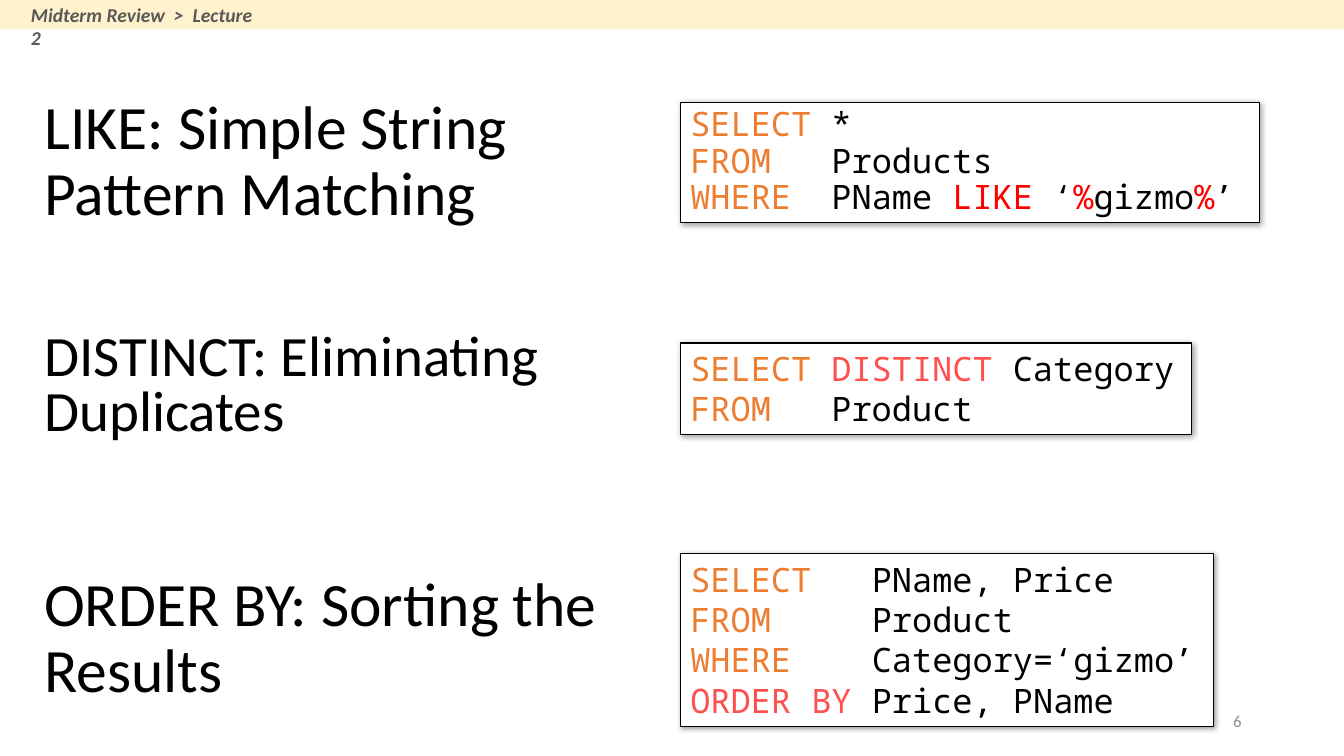
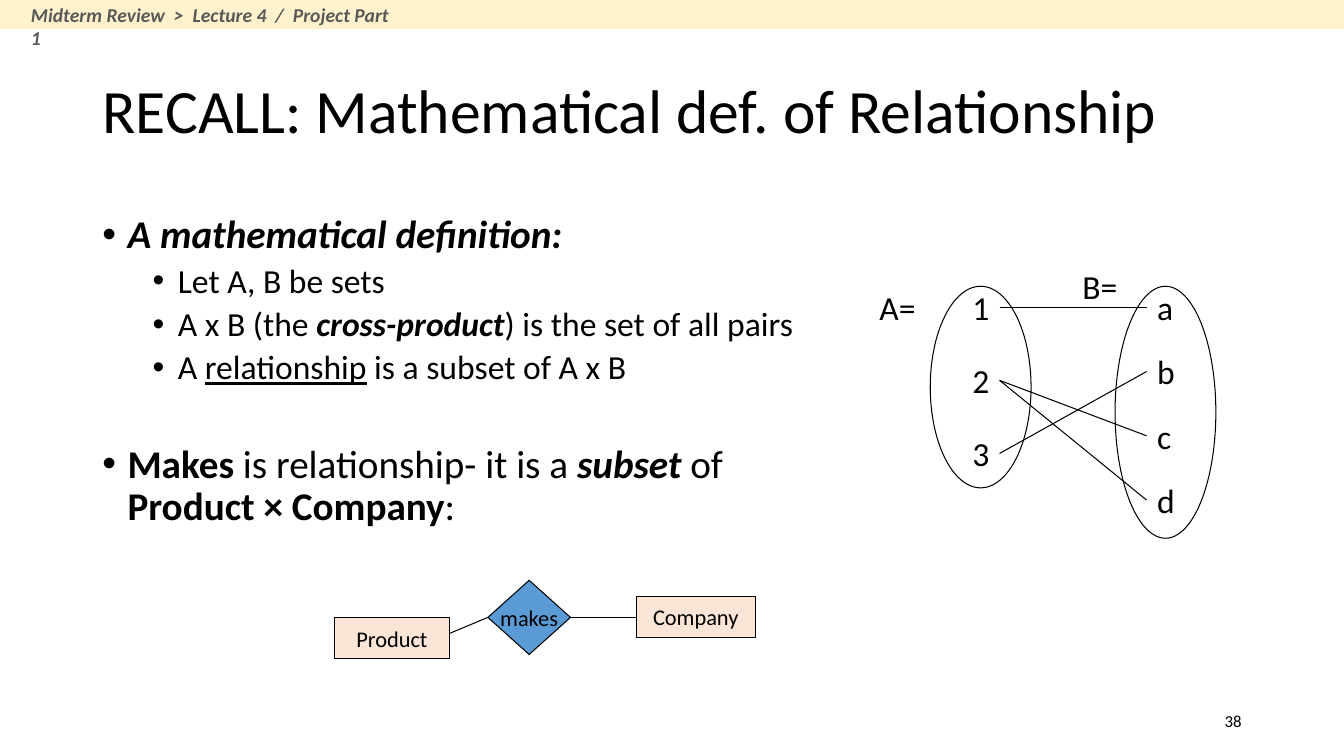
from lxml import etree
from pptx import Presentation
from pptx.dml.color import RGBColor
from pptx.enum import shapes, text
from pptx.oxml import ns
from pptx.util import Pt

BLACK, WHITE, CREAM, GREY = "000000", "FFFFFF", "FFF2CC", "595959"
ORANGE, CORAL, RED = "ED7D31", "FF5050", "FF0000"
PEACH, BLUE, PALE_GREY = "FBE5D6", "5B9BD5", "8C8C8C"
SLIDE_WIDTH, SLIDE_HEIGHT = 960, 540
BODY_FONT, CODE_FONT = "Calibri", "Noto Sans Mono"
LEFT, CENTRE, RIGHT = text.PP_ALIGN.LEFT, text.PP_ALIGN.CENTER, text.PP_ALIGN.RIGHT
TOP, MIDDLE = text.MSO_ANCHOR.TOP, text.MSO_ANCHOR.MIDDLE
SHAPE = shapes.MSO_SHAPE


def colour(value):
    """Turn a hex string into a colour."""
    return RGBColor.from_string(value)


def points(*values):
    """Turn numbers into lengths in points."""
    return [Pt(value) for value in values]


def add_runs(paragraph, spans):
    """Add (text, style) spans; a style is a hex colour or any of b, i and u."""
    for wording, style in spans:
        run = paragraph.add_run()
        run.text = wording
        if len(style) == 6:
            run.font.color.rgb = colour(style)
        else:
            for letter, name in (("b", "bold"), ("i", "italic"), ("u", "underline")):
                if letter in style:
                    setattr(run.font, name, True)


def format_paragraph(paragraph, size, ink=BLACK, font=BODY_FONT, spacing=1.0, align=LEFT):
    """Set the font, line spacing and alignment of a paragraph."""
    paragraph.alignment = align
    paragraph.line_spacing = spacing
    paragraph.font.name = font
    paragraph.font.size = Pt(size)
    paragraph.font.color.rgb = colour(ink)


def write(shape, lines, size, anchor=TOP, wrap=True, **style):
    """Fill a shape with lines, each a list of spans."""
    frame = shape.text_frame
    frame.word_wrap = wrap
    frame.auto_size = text.MSO_AUTO_SIZE.NONE
    frame.vertical_anchor = anchor
    for index, spans in enumerate(lines):
        paragraph = frame.add_paragraph() if index else frame.paragraphs[0]
        add_runs(paragraph, spans)
        format_paragraph(paragraph, size, **style)
    return frame


def add_text(slide, box, wording, size, **style):
    """Add a text box with one paragraph."""
    shape = slide.shapes.add_textbox(*points(*box))
    return write(shape, [[(wording, "")]], size, **style)


def add_box(slide, kind, box, fill=None, line=BLACK):
    """Add a preset shape without a shadow."""
    shape = slide.shapes.add_shape(kind, *points(*box))
    shape.shadow.inherit = False
    if fill:
        shape.fill.solid()
        shape.fill.fore_color.rgb = colour(fill)
    else:
        shape.fill.background()
    if line:
        shape.line.color.rgb = colour(line)
        shape.line.width = Pt(0.75)
    else:
        shape.line.fill.background()
    return shape


def add_line(slide, *ends):
    """Add a thin straight connector between two points."""
    connector = slide.shapes.add_connector(shapes.MSO_CONNECTOR.STRAIGHT, *points(*ends))
    connector.line.color.rgb = colour(BLACK)
    connector.line.width = Pt(0.75)
    etree.SubElement(connector._element.spPr, ns.qn("a:effectLst"))


def add_soft_shadow(shape):
    """Give a shape a small blurred shadow to the lower right."""
    effects = shape._element.spPr.find(ns.qn("a:effectLst"))
    shadow = etree.SubElement(effects, ns.qn("a:outerShdw"), blurRad=str(Pt(4)),
                              dist=str(Pt(1)), dir="2700000", algn="tl", rotWithShape="0")
    shade = etree.SubElement(shadow, ns.qn("a:srgbClr"), val=BLACK)
    etree.SubElement(shade, ns.qn("a:alpha"), val="40000")


def add_bullet(paragraph, margin):
    """Give a paragraph a round bullet with a hanging indent."""
    properties = paragraph._p.get_or_add_pPr()
    properties.set("marL", str(Pt(margin)))
    properties.set("indent", str(-Pt(18)))
    etree.SubElement(properties, ns.qn("a:buFont"), typeface="Arial")
    etree.SubElement(properties, ns.qn("a:buChar"), char="•")


def start_slide(presentation, title, title_box, trail, trail_width, number, number_ink):
    """Add a slide with its title, top band, breadcrumb and number."""
    slide = presentation.slides.add_slide(presentation.slide_layouts[5])
    heading = slide.shapes.title
    heading.left, heading.top, heading.width, heading.height = points(*title_box)
    write(heading, [[(title, "")]], 44, anchor=MIDDLE, spacing=0.9)
    add_box(slide, SHAPE.RECTANGLE, (0, 0, SLIDE_WIDTH, 20.9), CREAM, None)
    frame = add_text(slide, (15, -1.5, trail_width, 24.5), trail, 14, ink=GREY)
    frame.paragraphs[0].font.bold = frame.paragraphs[0].font.italic = True
    add_text(slide, (678, 500.5, 216, 29), number, 12, anchor=MIDDLE,
             ink=number_ink, align=RIGHT)
    return slide


def add_code(slide, box, lines, spacing=1.0):
    """Add a framed query with coloured keywords."""
    shape = add_box(slide, SHAPE.RECTANGLE, box, WHITE)
    add_soft_shadow(shape)
    write(shape, lines, 24, font=CODE_FONT, spacing=spacing)


def add_definition(slide, box):
    """Add the bulleted definition of a relationship."""
    items = [
        (0, 0, [("A mathematical definition:", "bi")]),
        (1, 5, [("Let A, B be sets", "")]),
        (1, 5, [("A x B (the ", ""), ("cross-product", "bi"), (") is the set of all pairs", "")]),
        (1, 5, [("A ", ""), ("relationship", "u"), (" is a subset of A x B", "")]),
        (0, 41, [("Makes ", "b"), ("is relationship- it is a ", ""), ("subset", "bi"),
                 (" of ", ""), ("Product × Company", "b"), (":", "")]),
    ]
    frame = slide.shapes.add_textbox(*points(*box)).text_frame
    frame.word_wrap = True
    for index, (level, before, spans) in enumerate(items):
        paragraph = frame.add_paragraph() if index else frame.paragraphs[0]
        add_bullet(paragraph, 18 + 36 * level)
        add_runs(paragraph, spans)
        format_paragraph(paragraph, 28 - 4 * level, spacing=0.9)
        if before:
            paragraph.space_before = Pt(before)


def add_mapping(slide, left, top):
    """Add two sets of members and the lines that pair them."""
    label_width, label_height, first = 46, 36, top + 15.5
    sets = [("123", left + 66.5, 52.2), ("abcd", left + 198.5, 45.9)]
    places = {}
    for members, x, step in sets:
        for index, member in enumerate(members):
            y = first + index * step
            places[member] = y + label_height / 2
            add_text(slide, (x, y, label_width, label_height), member, 24)
    for x, height in ((43.5, 144), (175.5, 180)):
        add_box(slide, SHAPE.OVAL, (left + x, top + 18.5, 72, height))
    for name, x, y in (("A=", 0, first), ("B=", 145, top + 0.5)):
        add_text(slide, (left + x, y, label_width, label_height), name, 24)
    for start, end in ("1a", "2c", "2d", "3b"):
        add_line(slide, left + 93, places[start], left + 198, places[end])


def add_entity_diagram(slide, left, top):
    """Add two entities joined by a relationship diamond."""
    nodes = [
        ("makes", SHAPE.DIAMOND, BLUE, (109.5, 0, 59, 53)),
        ("Company", SHAPE.RECTANGLE, PEACH, (215.5, 11.5, 85, 29.5)),
        ("Product", SHAPE.RECTANGLE, PEACH, (0, 26.5, 82, 29.5)),
    ]
    for name, kind, fill, (x, y, width, height) in nodes:
        shape = add_box(slide, kind, (left + x, top + y, width, height), fill)
        write(shape, [[(name, "")]], 16, anchor=MIDDLE, wrap=False, align=CENTRE)
    middle = top + 26.5
    add_line(slide, left + 168.5, middle, left + 215.5, middle)
    add_line(slide, left + 109.5, middle, left + 82, middle + 11.5)


def build_query_slide(presentation):
    """Build the slide of three SQL clauses with sample queries."""
    slide = start_slide(presentation, "LIKE: Simple String Pattern Matching",
                        (24.5, 51, 362, 130.5), "Midterm Review  >  Lecture 2",
                        178.5, "6", PALE_GREY)
    add_text(slide, (24.5, 232, 406, 90), "DISTINCT: Eliminating Duplicates", 40.7,
             anchor=MIDDLE, spacing=0.8)
    add_text(slide, (24.5, 378.5, 438, 156.5), "ORDER BY: Sorting the Results", 44,
             anchor=MIDDLE, spacing=0.9)
    add_code(slide, (486, 73.5, 413.5, 85.5), [
        [("SELECT ", ORANGE), ("*", "")],
        [("FROM   ", ORANGE), ("Products", "")],
        [("WHERE  ", ORANGE), ("PName ", ""), ("LIKE", RED), (" ‘", ""), ("%", RED),
         ("gizmo", ""), ("%", RED), ("’", "")],
    ], spacing=0.9)
    add_code(slide, (486, 245, 365, 65.5), [
        [("SELECT ", ORANGE), ("DISTINCT ", CORAL), ("Category", "")],
        [("FROM   ", ORANGE), ("Product", "")],
    ])
    add_code(slide, (486, 395.5, 381, 123.5), [
        [("SELECT   ", ORANGE), ("PName, Price", "")],
        [("FROM     ", ORANGE), ("Product", "")],
        [("WHERE   ", ORANGE), (" Category=‘gizmo’", "")],
        [("ORDER BY", CORAL), (" Price, PName", "")],
    ])


def build_relationship_slide(presentation):
    """Build the slide that defines a relationship."""
    slide = start_slide(presentation, "RECALL: Mathematical def. of Relationship",
                        (66, 29, 828, 104.5),
                        "Midterm Review  >  Lecture 4  /  Project Part 1",
                        273, "38", BLACK)
    add_definition(slide, (66, 150, 547, 352))
    add_mapping(slide, 621, 186)
    add_entity_diagram(slide, 239, 414.5)


def main():
    """Build and save the presentation."""
    presentation = Presentation()
    presentation.slide_width, presentation.slide_height = points(SLIDE_WIDTH, SLIDE_HEIGHT)
    build_query_slide(presentation)
    build_relationship_slide(presentation)
    presentation.save("out.pptx")


if __name__ == "__main__":
    main()
